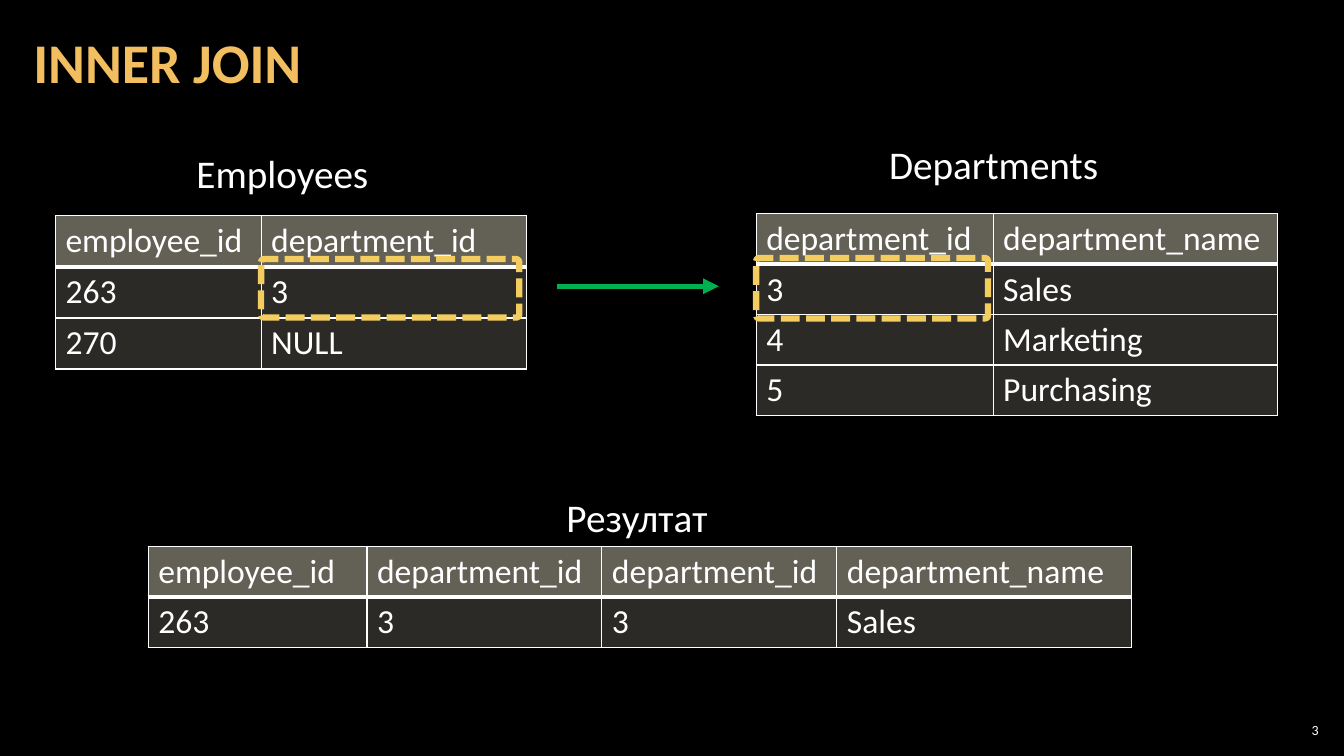
"""Build a slide explaining INNER JOIN with two source tables and their result."""
import pptx
import pptx.dml.color
import pptx.enum.dml
import pptx.enum.shapes
import pptx.enum.text
import pptx.oxml
import pptx.util
from pptx.oxml.ns import nsdecls, qn

Inches = pptx.util.Inches
Pt = pptx.util.Pt
RGB = pptx.dml.color.RGBColor.from_string
ALIGN = pptx.enum.text.PP_ALIGN
ANCHOR = pptx.enum.text.MSO_ANCHOR

THEME = {
    "font": "Calibri", "background": "000000", "text": "FFFFFF", "title": "F3BE60",
    "highlight": "F3CD60", "arrow": "00B050", "border": "FFFFFF",
    "header_fill": ("C6C0AA", 50), "body_fill": ("D9D5C7", 20),
    "title_size": 40, "label_size": 28, "cell_size": 24, "number_size": 10,
}
TABLES = [
    {"label": "Employees", "label_at": (1.85, 1.43, 1.92, 0.57),
     "at": (0.55, 2.14), "columns": (2.04, 2.63),
     "rows": [("employee_id", "department_id"), ("263", "3"), ("270", "NULL")]},
    {"label": "Departments", "label_at": (8.72, 1.34, 2.3, 0.57),
     "at": (7.5, 2.12), "columns": (2.35, 2.82),
     "rows": [("department_id", "department_name"), ("3", "Sales"),
              ("4", "Marketing"), ("5", "Purchasing")]},
    {"label": "Резултат", "label_at": (5.52, 4.84, 1.61, 0.57),
     "at": (1.47, 5.42), "columns": (2.17, 2.33, 2.33, 2.92),
     "rows": [("employee_id", "department_id", "department_id", "department_name"),
              ("263", "3", "3", "Sales")]},
]
ROW_HEIGHT = 0.5
HIGHLIGHTS = [(2.59, 2.57, 2.56, 0.58), (7.5, 2.56, 2.3, 0.6)]


def write_text(frame, text, size, color="text", bold=False, align=ALIGN.LEFT):
    para = frame.paragraphs[0]
    para.alignment = align
    span = para.add_run()
    span.text = text
    formats = {"name": THEME["font"], "size": Pt(THEME[size]), "bold": bold}
    for name, value in formats.items():
        setattr(span.font, name, value)
    span.font.color.rgb = RGB(THEME[color])
    return para


def style_cell(cell, is_header):
    properties = cell._tc.get_or_add_tcPr()
    for side in "LRTB":
        width = Pt(3 if is_header and side == "B" else 1)
        properties.append(pptx.oxml.parse_xml(
            f'<a:ln{side} {nsdecls("a")} w="{width}"><a:solidFill>'
            f'<a:srgbClr val="{THEME["border"]}"/></a:solidFill></a:ln{side}>'))
    color, opacity = THEME["header_fill" if is_header else "body_fill"]
    cell.fill.solid()
    cell.fill.fore_color.rgb = RGB(color)
    properties.find(qn("a:solidFill"))[0].append(
        pptx.oxml.parse_xml(f'<a:alpha {nsdecls("a")} val="{opacity * 1000}"/>'))


deck = pptx.Presentation()
deck.slide_width, deck.slide_height = Inches(13.33), Inches(7.5)
page = deck.slides.add_slide(deck.slide_layouts[5])
page.background.fill.solid()
page.background.fill.fore_color.rgb = RGB(THEME["background"])

title = page.shapes.title
title_place = {"left": 0.21, "top": 0.04, "width": 12.91, "height": 1.21}
for name, value in title_place.items():
    setattr(title, name, Inches(value))
title_frame = {"margin_left": Inches(0.12), "margin_right": Inches(0.12),
               "margin_top": Inches(0.04), "margin_bottom": Inches(0.04),
               "vertical_anchor": ANCHOR.MIDDLE}
for name, value in title_frame.items():
    setattr(title.text_frame, name, value)
title_para = write_text(title.text_frame, "INNER JOIN", "title_size", "title", bold=True)
title_para.line_spacing = 0.9

for entry in TABLES:
    rows, columns = entry["rows"], entry["columns"]
    extent = (*entry["at"], sum(columns), ROW_HEIGHT * len(rows))
    table = page.shapes.add_table(len(rows), len(columns), *map(Inches, extent)).table
    table.first_row = table.horz_banding = False
    for column, width in zip(table.columns, columns):
        column.width = Inches(width)
    for row_index, row in enumerate(rows):
        for column_index, text in enumerate(row):
            cell = table.cell(row_index, column_index)
            write_text(cell.text_frame, text, "cell_size")
            style_cell(cell, row_index == 0)
    label = page.shapes.add_textbox(*map(Inches, entry["label_at"]))
    label.text_frame.word_wrap = False
    label.text_frame.auto_size = pptx.enum.text.MSO_AUTO_SIZE.SHAPE_TO_FIT_TEXT
    write_text(label.text_frame, entry["label"], "label_size")

arrow = page.shapes.add_connector(
    pptx.enum.shapes.MSO_CONNECTOR.STRAIGHT, *map(Inches, (5.52, 2.84, 7.13, 2.84)))
arrow.line.color.rgb = RGB(THEME["arrow"])
arrow.line.width = Pt(3.75)
arrow.line._get_or_add_ln().append(
    pptx.oxml.parse_xml(f'<a:tailEnd {nsdecls("a")} type="triangle"/>'))
arrow._element.spPr.append(pptx.oxml.parse_xml(f'<a:effectLst {nsdecls("a")}/>'))

for place in HIGHLIGHTS:
    box = page.shapes.add_shape(
        pptx.enum.shapes.MSO_SHAPE.ROUNDED_RECTANGLE, *map(Inches, place))
    box.adjustments[0] = 0.05
    box.shadow.inherit = False
    box.fill.background()
    box.line.color.rgb = RGB(THEME["highlight"])
    box.line.width = Pt(4.5)
    box.line.dash_style = pptx.enum.dml.MSO_LINE.SQUARE_DOT

number = page.shapes.add_textbox(*map(Inches, (12.65, 7.14, 0.47, 0.21)))
number.text_frame.word_wrap = True
number.text_frame.vertical_anchor = ANCHOR.MIDDLE
for side in ("left", "right", "top", "bottom"):
    setattr(number.text_frame, f"margin_{side}", Inches(0.04))
write_text(number.text_frame, "3", "number_size", align=ALIGN.RIGHT)

deck.save("out.pptx")
